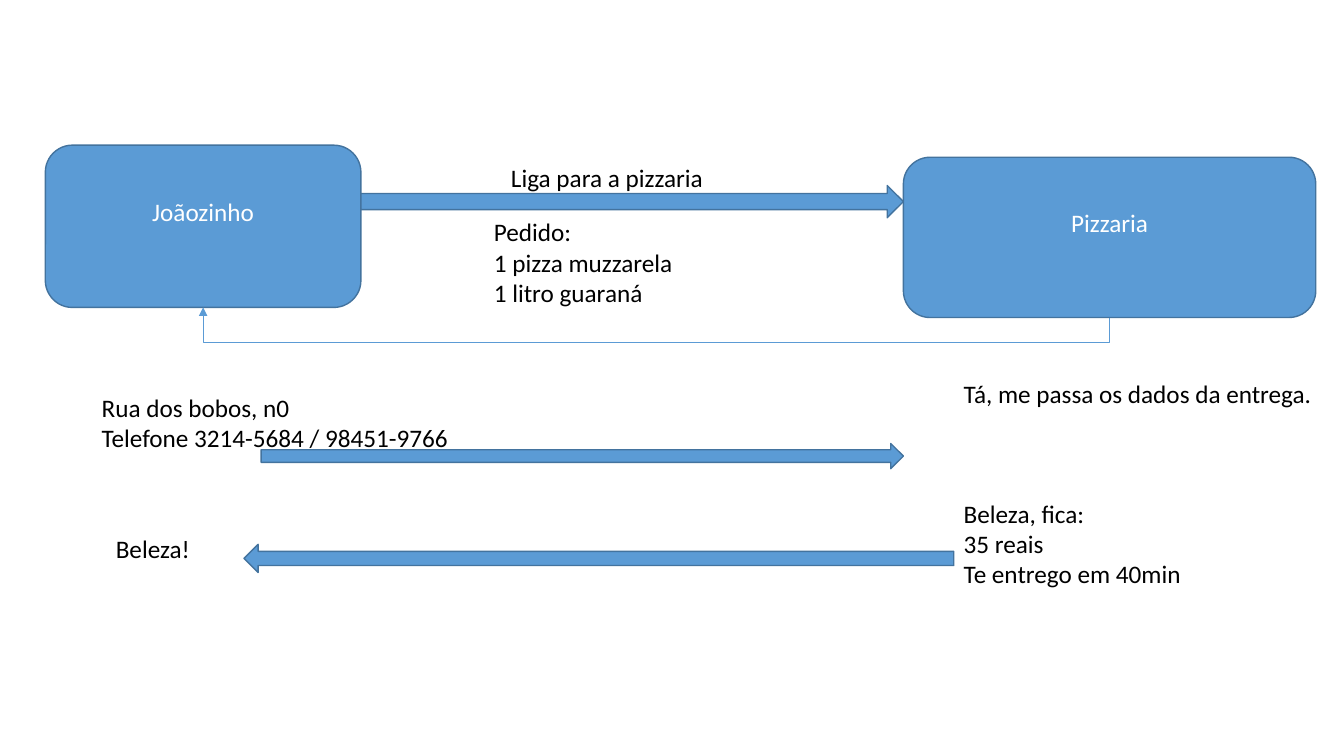
from lxml.etree import SubElement
from pptx import Presentation
from pptx.dml.color import RGBColor as RGB
from pptx.enum.shapes import MSO_CONNECTOR as LINK, MSO_SHAPE as SHAPE
from pptx.enum.text import MSO_ANCHOR as ANCHOR, PP_ALIGN as ALIGN
from pptx.oxml.ns import qn
from pptx.util import Inches, Pt

COLORS = {"blue": "5B9BD5", "edge": "43739E", "white": "FFFFFF", "black": "000000"}


def color(name):
    """Return the named colour."""
    return RGB.from_string(COLORS[name])


def write(frame, lines, ink, align=ALIGN.LEFT):
    """Write each line as a paragraph."""
    for i, line in enumerate(lines):
        para = frame.paragraphs[0] if i == 0 else frame.add_paragraph()
        para.alignment = align
        run = para.add_run()
        run.text = line
        run.font.name = "Calibri"
        run.font.size = Pt(18)
        run.font.color.rgb = color(ink)


def block(slide, kind, box):
    """Draw a blue outlined shape in the box."""
    shape = slide.shapes.add_shape(kind, *map(Inches, box))
    shape.shadow.inherit = False
    shape.fill.solid()
    shape.fill.fore_color.rgb = color("blue")
    shape.line.color.rgb = color("edge")
    shape.line.width = Pt(1)
    return shape


def actor(slide, box, name):
    """Draw a rounded box with its name a little above the middle."""
    frame = block(slide, SHAPE.ROUNDED_RECTANGLE, box).text_frame
    frame.vertical_anchor = ANCHOR.MIDDLE
    frame.margin_bottom = Inches(0.35)
    write(frame, [name], "white", ALIGN.CENTER)


def arrow(slide, box, turn=0):
    """Draw a block arrow, turned by the given degrees."""
    block(slide, SHAPE.RIGHT_ARROW, box).rotation = turn


def note(slide, box, *lines):
    """Place lines of speech in the box."""
    frame = slide.shapes.add_textbox(*map(Inches, box)).text_frame
    frame.word_wrap = False
    write(frame, lines, "black")


def reply(slide, source, target, drop):
    """Link the bottoms of two boxes by an elbow below the source."""
    (x1, y1), (x2, y2) = [(x + w / 2, y + h) for x, y, w, h in (source, target)]
    rise, span = y1 - y2, x1 - x2
    mid_x, mid_y = (x1 + x2) / 2, (y1 + y2) / 2
    ends = (mid_x + rise / 2, mid_y - span / 2, mid_x - rise / 2, mid_y + span / 2)
    link = slide.shapes.add_connector(LINK.ELBOW, *map(Inches, ends))
    link.line.color.rgb = color("blue")
    link.line.width = Pt(0.5)
    props = link._element.spPr
    props.find(qn("a:xfrm")).set("rot", str(90 * 60000))
    bend = SubElement(props.find(qn("a:prstGeom")).find(qn("a:avLst")), qn("a:gd"))
    bend.set("name", "adj1")
    bend.set("fmla", f"val {round(-drop / rise * 100000)}")
    SubElement(props.find(qn("a:ln")), qn("a:tailEnd")).set("type", "triangle")
    SubElement(props, qn("a:effectLst"))


def order(slide, box):
    """Draw the two actors, the call and the reply."""
    x, y, w, h = box
    boy = (x, y, 3.13, 1.61)
    shop = (x + w - 4.09, y + 0.12, 4.09, 1.59)
    start = x + boy[2]
    actor(slide, boy, "Joãozinho")
    arrow(slide, (start, y + 0.4, shop[0] - start, 0.32))
    actor(slide, shop, "Pizzaria")
    note(slide, (start + 1.39, y + 0.12, 2.13, 0.4), "Liga para a pizzaria")
    note(slide, (start + 1.22, y + 0.66, 2.93, 1.01),
         "Pedido:", "1 pizza muzzarela", "1 litro guaraná")
    reply(slide, shop, boy, y + h - shop[1] - shop[3])


def delivery(slide, box):
    """Draw the exchange of delivery details."""
    x, y, w, h = box
    right = x + 8.55
    note(slide, (right, y, 3.69, 0.71), "Tá, me passa os dados da entrega.")
    note(slide, (x, y + 0.14, 3.68, 0.71),
         "Rua dos bobos, n0", "Telefone 3214-5684 / 98451-9766")
    arrow(slide, (x + 1.68, y + 0.7, 6.37, 0.25))
    note(slide, (right, y + h - 1.01, 2.38, 1.01),
         "Beleza, fica:", "35 reais", "Te entrego em 40min")
    arrow(slide, (x + 1.51, y + 1.7, 7.04, 0.28), 180)
    note(slide, (x + 0.14, y + 1.54, 0.95, 0.71), "Beleza!")


def main():
    """Build the slide and save it."""
    deck = Presentation()
    deck.slide_width, deck.slide_height = Inches(13.33), Inches(7.5)
    slide = deck.slides.add_slide(deck.slide_layouts[6])
    order(slide, (0.45, 1.44, 12.6, 1.96))
    delivery(slide, (0.91, 3.7, 12.24, 2.2))
    deck.save("out.pptx")


if __name__ == "__main__":
    main()
